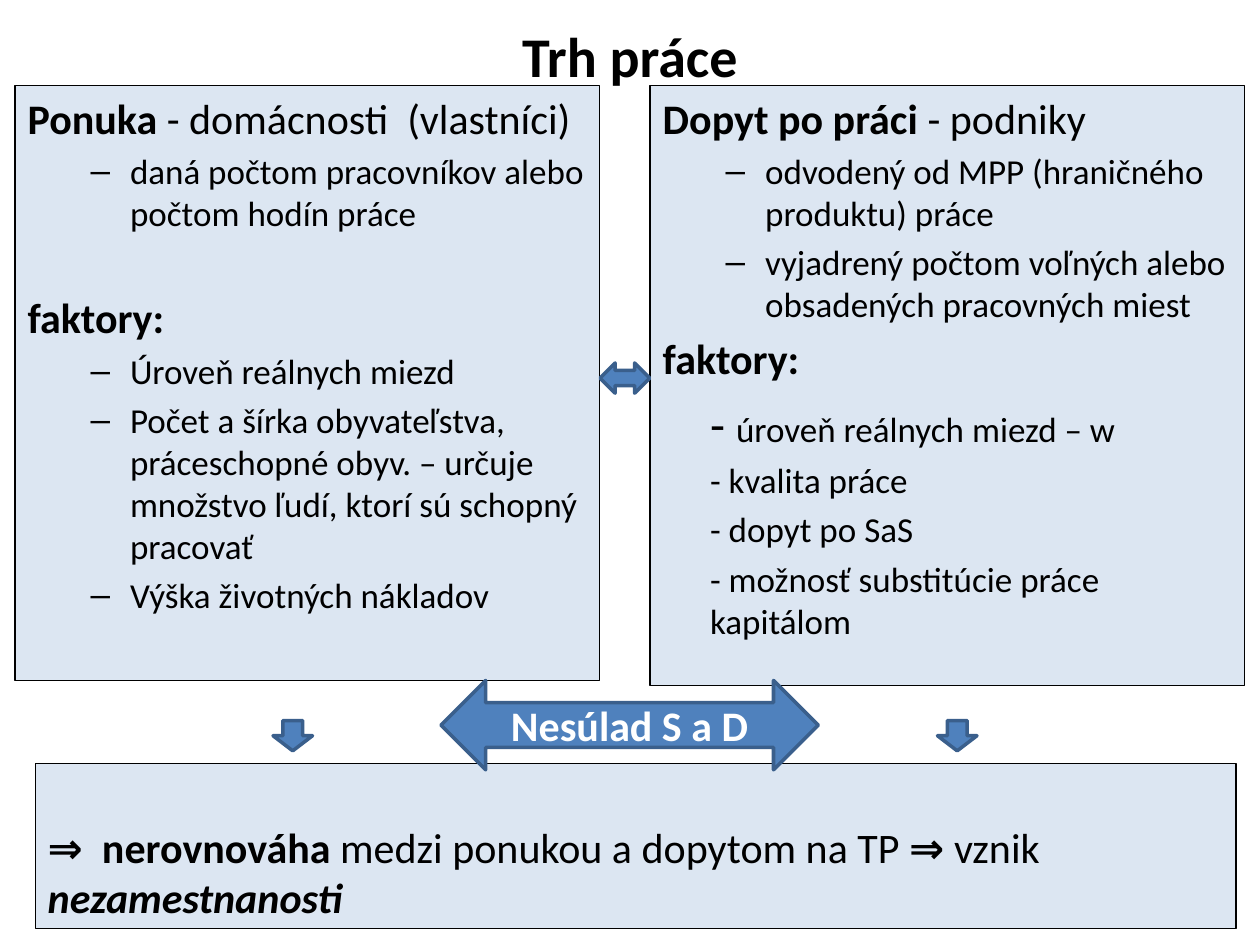
from lxml import etree
from pptx import Presentation
from pptx.dml.color import RGBColor
from pptx.enum import shapes, text
from pptx.oxml.ns import qn
from pptx.util import Pt

COLORS = {"panel": "DCE6F2", "black": "000000", "white": "FFFFFF",
          "arrow": "4F81BD", "edge": "3A5F8C"}
FONT = "Calibri"
TITLE = "Trh práce"
TITLE_AREA = (36, 3.6, 648, 55.4)

STYLES = {
    "head": {"level": 0, "left": 27, "indent": -27, "size": 24, "before": 4.8},
    "dash": {"level": 1, "left": 58.5, "indent": -22.5, "size": 20, "before": 4, "bullet": "–"},
    "plain": {"level": 0, "left": 27, "indent": 0, "size": 20, "before": 4},
}
SECTION_GAP = 33.2

# Each paragraph: style, spans as (text, bold, size or None), space before or None
SUPPLY = [
    ("head", [("Ponuka", True, None), (" - domácnosti  (vlastníci)", False, None)], 0),
    ("dash", [("daná počtom pracovníkov alebo počtom hodín práce", False, None)], None),
    ("head", [("faktory:", True, None)], SECTION_GAP),
    ("dash", [("Úroveň reálnych miezd", False, None)], None),
    ("dash", [("Počet a šírka obyvateľstva, práceschopné obyv. – určuje množstvo ľudí, "
               "ktorí sú schopný pracovať", False, None)], None),
    ("dash", [("Výška životných nákladov", False, None)], None),
]
DEMAND = [
    ("head", [("Dopyt po práci ", True, None), ("- podniky", False, None)], 0),
    ("dash", [("odvodený od MPP (hraničného produktu) práce", False, None)], None),
    ("dash", [("vyjadrený počtom voľných alebo obsadených pracovných miest", False, None)], None),
    ("head", [("faktory:", True, None)], None),
    ("plain", [("- ", False, 28), ("úroveň reálnych miezd – w", False, None)], 5.6),
    ("plain", [("- kvalita práce", False, None)], None),
    ("plain", [("- dopyt po SaS", False, None)], None),
    ("plain", [("- možnosť substitúcie práce kapitálom", False, None)], None),
]
PANELS = [(1, (8.6, 49, 334.1, 339.8), SUPPLY), (2, (371.5, 49, 339.8, 342.7), DEMAND)]

RESULT = [("⇒  nerovnováha ", True, False), ("medzi ponukou a dopytom na TP ", False, False),
          ("⇒", True, False), (" vznik ", False, False), ("nezamestnanosti", True, True)]
RESULT_AREA = (20.2, 436.3, 686.2, 94.3)

DOUBLE = shapes.MSO_SHAPE.LEFT_RIGHT_ARROW
DOWN = shapes.MSO_SHAPE.DOWN_ARROW
ARROWS = [
    (DOUBLE, (342.9, 207.4, 28.4, 17.3), ""),
    (DOWN, (156, 411.8, 22.6, 17.3), ""),
    (DOWN, (535.7, 411.8, 22.6, 17.3), ""),
    (DOUBLE, (252, 388.8, 215.6, 51.1), "Nesúlad S a D"),
]


def color(name):
    return RGBColor.from_string(COLORS[name])


def place(shape, area):
    shape.left, shape.top, shape.width, shape.height = map(Pt, area)


def paint(shape, fill, line, width):
    shape.fill.solid()
    shape.fill.fore_color.rgb = color(fill)
    shape.line.color.rgb = color(line)
    shape.line.width = Pt(width)


def prepare(shape, anchor):
    frame = shape.text_frame
    frame.word_wrap = True
    frame.auto_size = text.MSO_AUTO_SIZE.NONE
    frame.vertical_anchor = anchor
    return frame


def add_span(para, words, size, bold, italic=False, ink="black"):
    span = para.add_run()
    span.text = words
    span.font.name = FONT
    span.font.size = Pt(size)
    span.font.bold = bold
    span.font.italic = italic
    span.font.color.rgb = color(ink)


def format_list(para, style, before):
    para.level = style["level"]
    props = para._p.get_or_add_pPr()
    props.set("marL", str(Pt(style["left"])))
    props.set("indent", str(Pt(style["indent"])))
    if "bullet" in style:
        etree.SubElement(props, qn("a:buChar")).set("char", style["bullet"])
    else:
        etree.SubElement(props, qn("a:buNone"))
    para.space_before = Pt(style["before"] if before is None else before)


def fill_panel(box, area, content):
    place(box, area)
    paint(box, "panel", "black", 0.75)
    frame = prepare(box, text.MSO_ANCHOR.TOP)
    for number, (kind, spans, before) in enumerate(content):
        para = frame.add_paragraph() if number else frame.paragraphs[0]
        format_list(para, STYLES[kind], before)
        for words, bold, size in spans:
            add_span(para, words, size or STYLES[kind]["size"], bold)


def add_box(page, kind, area, fill, line, width):
    box = page.shapes.add_shape(kind, *map(Pt, area))
    box.shadow.inherit = False
    paint(box, fill, line, width)
    return box


def main():
    deck = Presentation()
    deck.slide_width, deck.slide_height = Pt(720), Pt(540)
    page = deck.slides.add_slide(deck.slide_layouts[3])
    holders = {item.placeholder_format.idx: item for item in page.placeholders}

    place(holders[0], TITLE_AREA)
    para = prepare(holders[0], text.MSO_ANCHOR.MIDDLE).paragraphs[0]
    para.alignment = text.PP_ALIGN.CENTER
    add_span(para, TITLE, 32, True)

    for index, area, content in PANELS:
        fill_panel(holders[index], area, content)
    for index in set(holders) - {0, 1, 2}:
        holders[index].element.getparent().remove(holders[index].element)

    box = add_box(page, shapes.MSO_SHAPE.RECTANGLE, RESULT_AREA, "panel", "black", 0.75)
    para = prepare(box, text.MSO_ANCHOR.BOTTOM).paragraphs[0]
    para.alignment = text.PP_ALIGN.LEFT
    for words, bold, italic in RESULT:
        add_span(para, words, 24, bold, italic)

    for kind, area, label in ARROWS:
        arrow = add_box(page, kind, area, "arrow", "edge", 2)
        if label:
            para = prepare(arrow, text.MSO_ANCHOR.MIDDLE).paragraphs[0]
            para.alignment = text.PP_ALIGN.CENTER
            add_span(para, label, 24, True, ink="white")

    deck.save("out.pptx")


if __name__ == "__main__":
    main()
